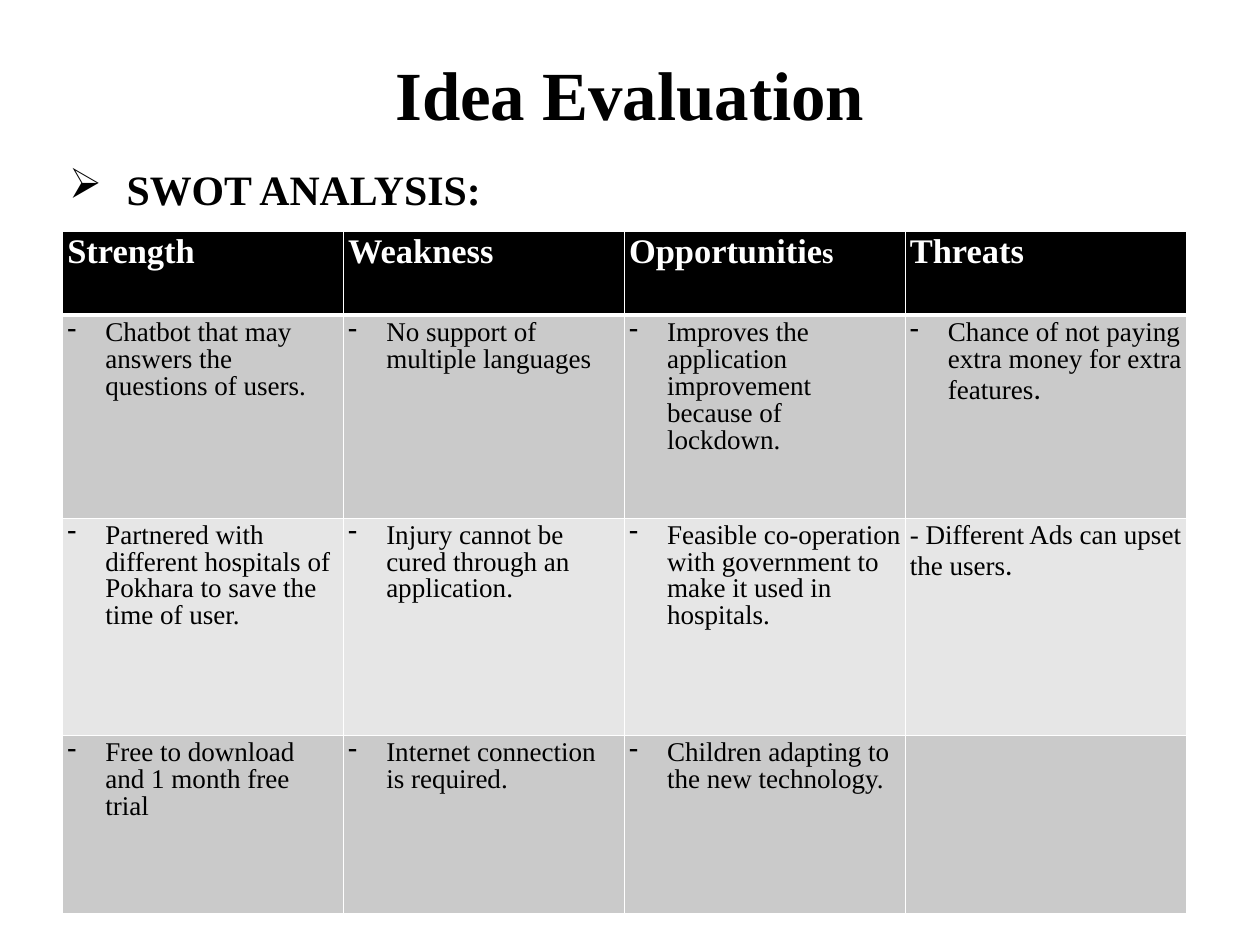
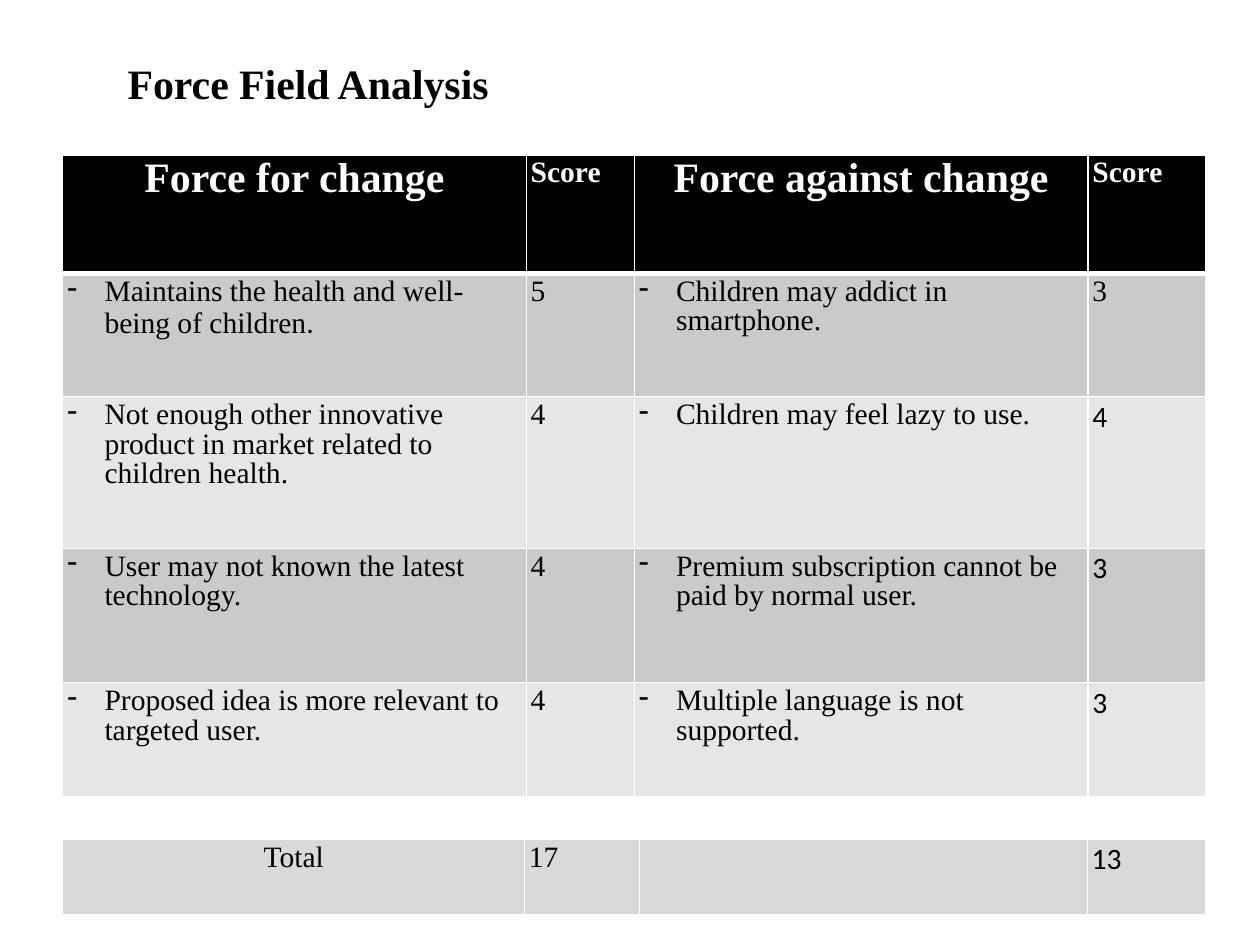
from dataclasses import dataclass

from lxml import etree
from pptx import Presentation
from pptx import util as u
from pptx.dml import color
from pptx.enum import text
from pptx.oxml import ns

PX = 9144


@dataclass(frozen=True)
class Theme:
    ink: str = "000000"
    paper: str = "FFFFFF"
    bands: tuple[str, str] = ("CACACA", "E6E6E6")
    total: str = "D9D9D9"
    serif: str = "Times New Roman"
    sans: str = "Calibri"
    title: int = 56
    heading: int = 34
    header: int = 28
    score: int = 24
    body: int = 22
    thin: int = 1
    thick: int = 4
    inset: int = 7
    cell_inset: int = 5


THEME = Theme()


@dataclass(frozen=True)
class Span:
    text: str
    size: int
    font: str = THEME.serif


@dataclass(frozen=True)
class Entry:
    spans: tuple[Span, ...] = ()
    hang: int = 0
    centred: bool = False


@dataclass(frozen=True)
class Row:
    height: int
    fill: str
    entries: tuple[Entry, ...]
    is_header: bool = False
    top: int = THEME.thin
    bottom: int = THEME.thin


def px(length: int) -> u.Emu:
    return u.Emu(length * PX)


def rgb(value: str) -> color.RGBColor:
    return color.RGBColor.from_string(value)


def plain(words: str, size: int, font: str = THEME.serif, centred: bool = False) -> Entry:
    return Entry((Span(words, size, font),), centred=centred)


def stop(words: str, size: int, hang: int = 0) -> Entry:
    return Entry((Span(words, size), Span(".", THEME.score, THEME.sans)), hang)


def dash(words: str, size: int, hang: int) -> Entry:
    return Entry((Span(words, size),), hang)


def write(frame, spans: tuple[Span, ...], *, ink: str = THEME.ink, bold: bool = False,
          centred: bool = False, bullet: str = "", hang: int = 0,
          spacing: float = 1.0) -> None:
    frame.word_wrap = True
    para = frame.paragraphs[0]
    para.alignment = text.PP_ALIGN.CENTER if centred else text.PP_ALIGN.LEFT
    para.line_spacing = spacing
    if hang:
        props = para._p.get_or_add_pPr()
        props.set("marL", str(px(hang)))
        props.set("indent", str(-px(hang)))
        etree.SubElement(props, ns.qn("a:buChar"), char=bullet)
    for span in spans:
        run = para.add_run()
        run.text = span.text
        run.font.name = span.font
        run.font.size = u.Pt(span.size)
        run.font.bold = bold
        run.font.color.rgb = rgb(ink)


def set_insets(frame) -> None:
    frame.margin_left = frame.margin_right = px(THEME.inset)
    frame.margin_top = frame.margin_bottom = px(THEME.inset)
    frame.auto_size = text.MSO_AUTO_SIZE.NONE


def add_page(deck, title: str, size: int, place: tuple[int, int, int, int],
             centred: bool):
    page = deck.slides.add_slide(deck.slide_layouts[5])
    box = page.shapes.title
    box.left, box.top, box.width, box.height = map(px, place)
    set_insets(box.text_frame)
    box.text_frame.vertical_anchor = text.MSO_ANCHOR.MIDDLE
    write(box.text_frame, (Span(title, size),), bold=True, centred=centred)
    return page


def set_borders(cell, top: int, bottom: int) -> None:
    props = cell._tc.get_or_add_tcPr()
    thin = THEME.thin
    for side, width in (("L", thin), ("R", thin), ("T", top), ("B", bottom)):
        line = etree.SubElement(props, ns.qn(f"a:ln{side}"), w=str(u.Pt(width)))
        fill = etree.SubElement(line, ns.qn("a:solidFill"))
        etree.SubElement(fill, ns.qn("a:srgbClr"), val=THEME.paper)


def add_grid(page, left: int, top: int, widths: tuple[int, ...],
             rows: list[Row]) -> None:
    frame = page.shapes.add_table(
        len(rows), len(widths), px(left), px(top), px(sum(widths)),
        px(sum(row.height for row in rows)))
    table = frame.table
    table.first_row = rows[0].is_header
    table.horz_banding = False
    for column, width in zip(table.columns, widths):
        column.width = px(width)
    for index, row in enumerate(rows):
        table.rows[index].height = px(row.height)
        for cell, entry in zip(table.rows[index].cells, row.entries):
            cell.margin_left = cell.margin_right = px(THEME.cell_inset)
            cell.margin_top = cell.margin_bottom = px(THEME.cell_inset)
            set_borders(cell, row.top, row.bottom)
            cell.fill.solid()
            cell.fill.fore_color.rgb = rgb(row.fill)
            if entry.spans:
                write(cell.text_frame, entry.spans, bold=row.is_header,
                      ink=THEME.paper if row.is_header else THEME.ink,
                      centred=entry.centred, bullet="-", hang=entry.hang,
                      spacing=0.9)


def banded(header: tuple[Entry, ...], header_height: int, heights: tuple[int, ...],
           body: list[tuple[Entry, ...]]) -> list[Row]:
    rows = [Row(header_height, THEME.ink, header, True, bottom=THEME.thick)]
    for index, (height, entries) in enumerate(zip(heights, body)):
        rows.append(Row(height, THEME.bands[index % 2], entries,
                        top=THEME.thin if index else THEME.thick))
    return rows


def build_swot(deck) -> None:
    page = add_page(deck, "Idea Evaluation", THEME.title, (71, 43, 1280, 123), True)
    box = page.shapes.add_textbox(px(71), px(178), px(1280), px(763))
    set_insets(box.text_frame)
    write(box.text_frame, (Span("SWOT ANALYSIS:", THEME.heading),), bold=True,
          bullet="➢", hang=65)

    def point(words: str) -> Entry:
        return dash(words, THEME.body, 43)

    header = (
        plain("Strength", THEME.header),
        plain("Weakness", THEME.header),
        Entry((Span("Opportunitie", THEME.header), Span("s", THEME.score))),
        plain("Threats", THEME.header),
    )
    body = [
        (point("Chatbot that may answers the questions of users."),
         point("No support of multiple languages"),
         point("Improves the application improvement because of lockdown."),
         stop("Chance of not paying extra money for extra features", THEME.body, 43)),
        (point("Partnered with different hospitals of Pokhara to save the time of user."),
         point("Injury cannot be cured through an application."),
         point("Feasible co-operation with government to make it used in hospitals."),
         stop("- Different Ads can upset the users", THEME.body)),
        (point("Free to download and 1 month free trial"),
         point("Internet connection is required."),
         point("Children adapting to the new technology."),
         Entry()),
    ]
    add_grid(page, 71, 261, (317,) * 4, banded(header, 95, (229, 246, 201), body))


def build_forces(deck) -> None:
    page = add_page(deck, "Force Field Analysis", THEME.heading,
                    (137, 39, 944, 109), False)

    def point(words: str) -> Entry:
        return dash(words, THEME.score, 42)

    def score(value: int, font: str = THEME.serif) -> Entry:
        return plain(str(value), THEME.score, font)

    score_header = plain("Score", THEME.score)
    header = (
        plain("Force for change", THEME.heading, centred=True), score_header,
        plain("Force against change", THEME.heading, centred=True), score_header,
    )
    body = [
        (stop("Maintains the health and well-being of children", THEME.score, 42),
         score(5), point("Children may addict in smartphone."), score(3)),
        (point("Not enough other innovative product in market related to children health."),
         score(4), point("Children may feel lazy to use."), score(4, THEME.sans)),
        (point("User may not known the latest technology."),
         score(4), point("Premium subscription cannot be paid by normal user."),
         score(3, THEME.sans)),
        (point("Proposed idea is more relevant to targeted user."),
         score(4), point("Multiple language is not supported."), score(3, THEME.sans)),
    ]
    add_grid(page, 71, 175, (523, 122, 512, 133),
             banded(header, 134, (139, 171, 152, 129), body))
    total = (plain("Total", THEME.score, centred=True), score(17), Entry(),
             score(13, THEME.sans))
    add_grid(page, 71, 948, (521, 130, 505, 134),
             [Row(86, THEME.total, total, bottom=THEME.thick)])


def main() -> None:
    deck = Presentation()
    deck.slide_width, deck.slide_height = px(1422), px(1067)
    build_swot(deck)
    build_forces(deck)
    deck.save("out.pptx")


if __name__ == "__main__":
    main()
